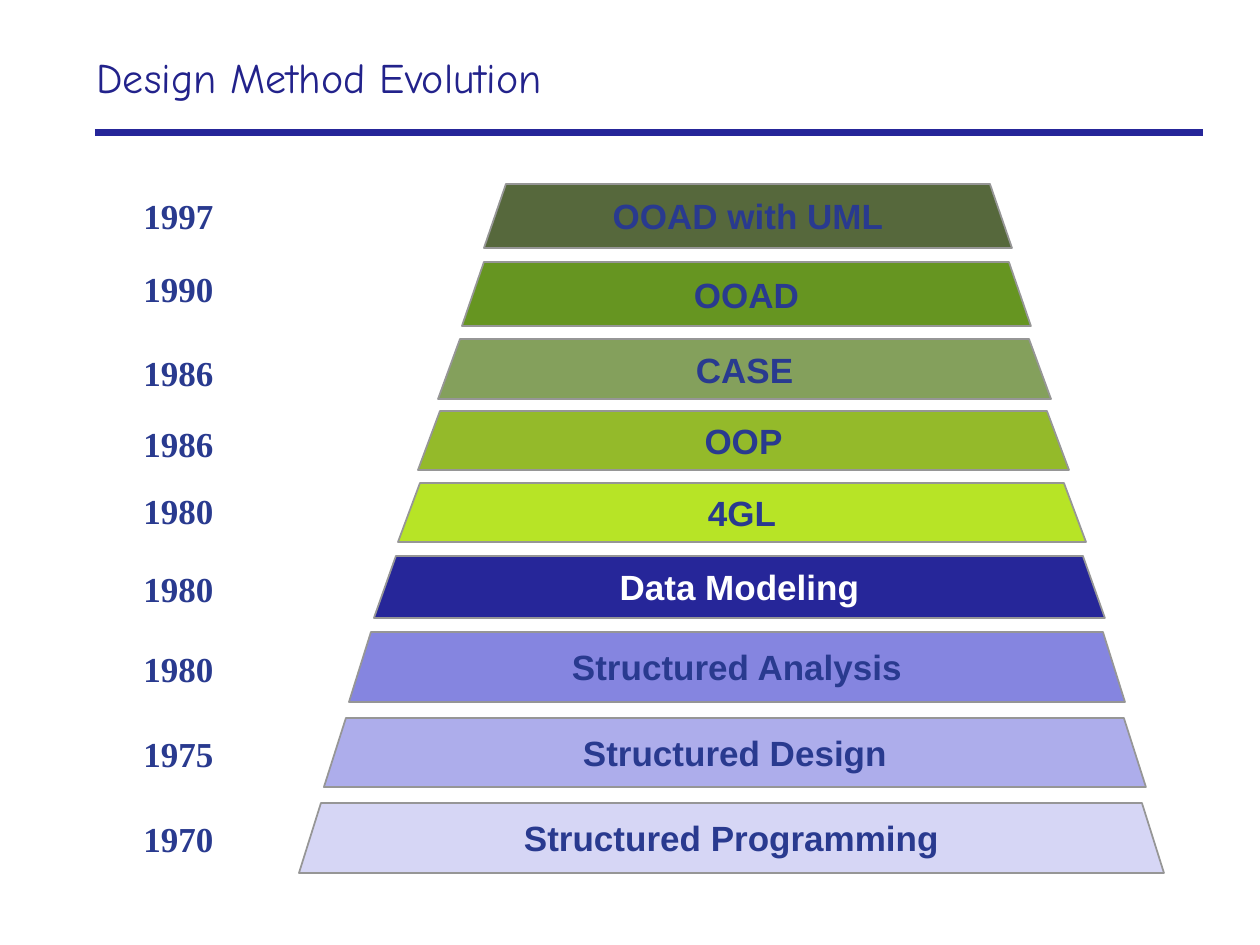
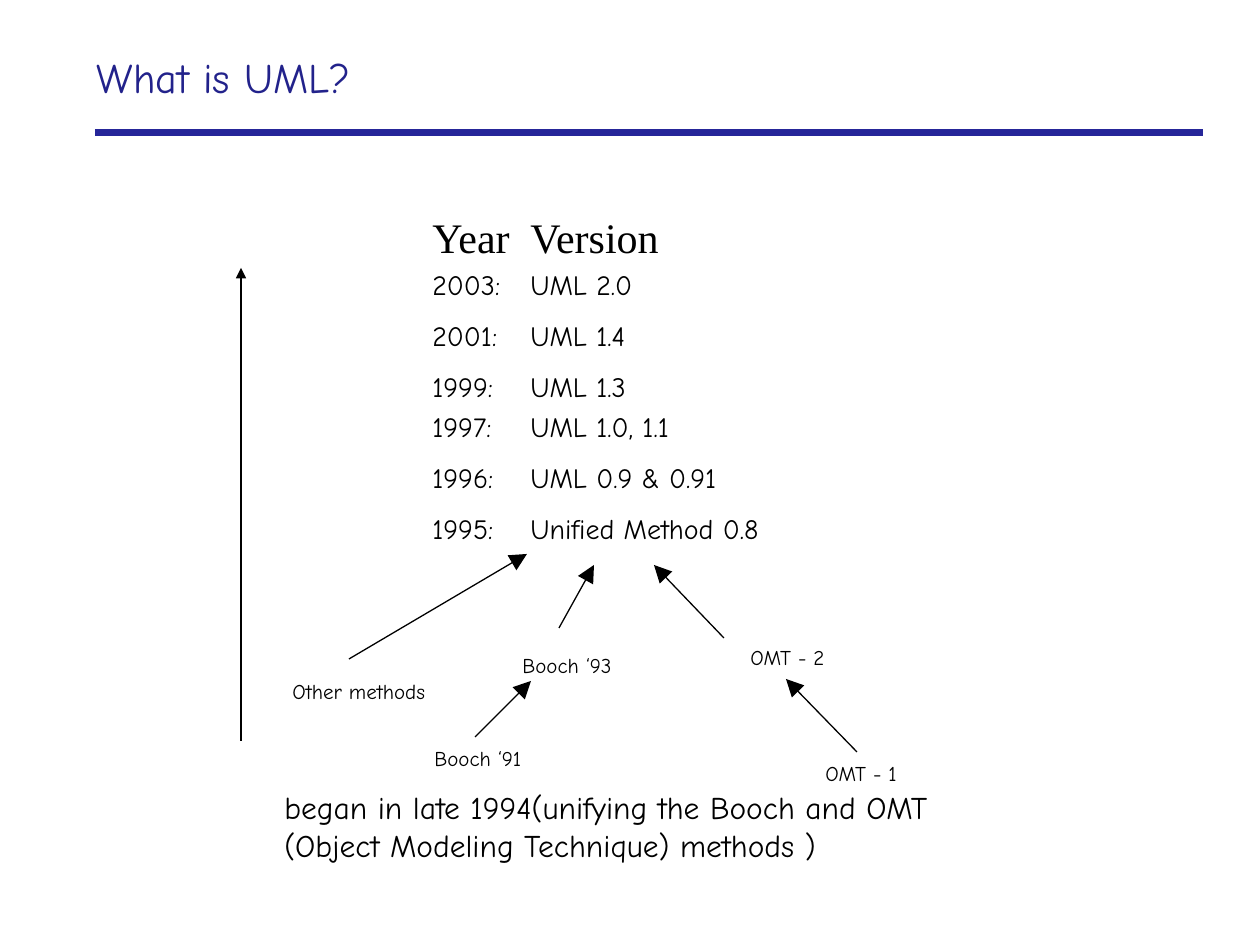
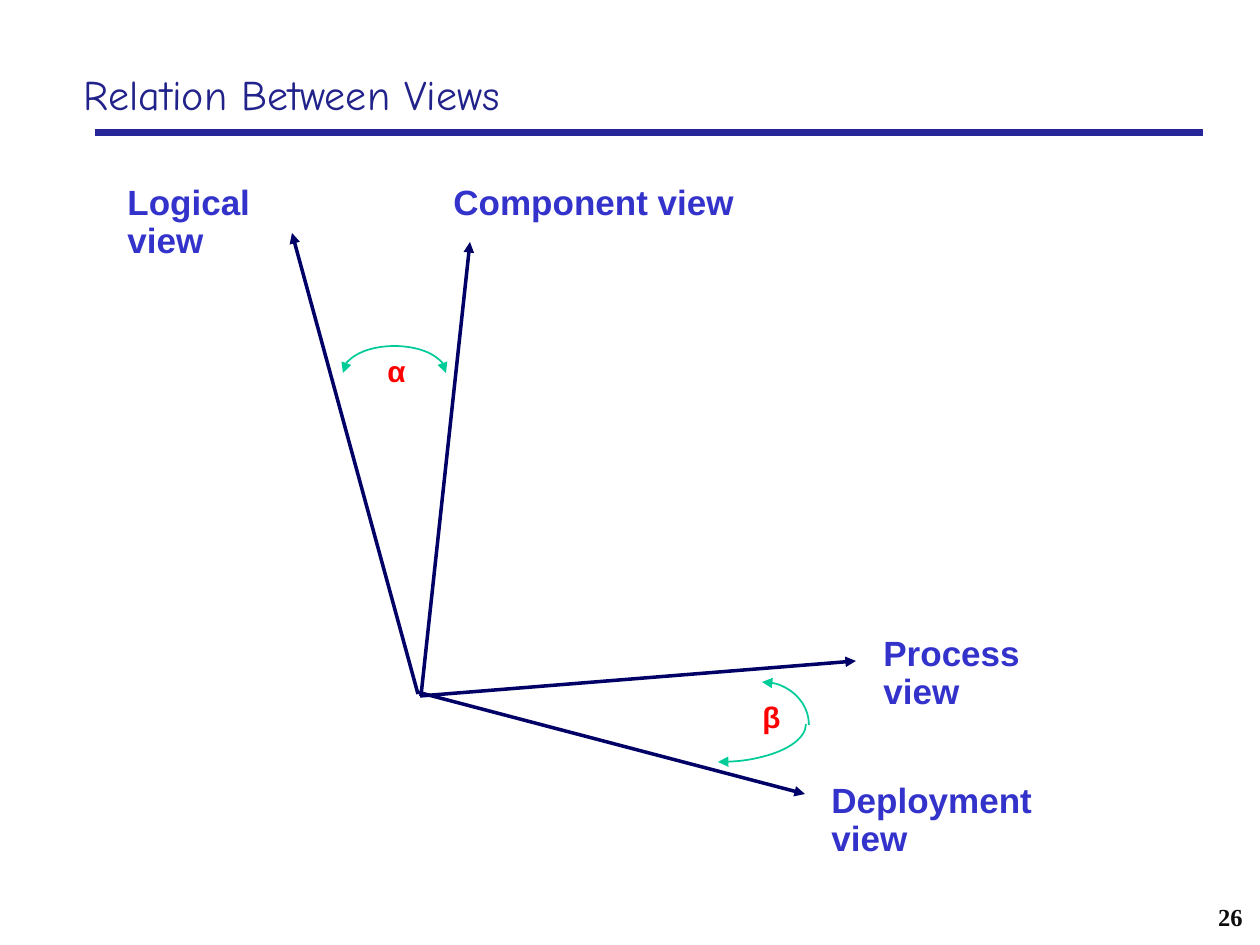
from dataclasses import dataclass

from pptx import Presentation
from pptx import util as u
from pptx.dml.color import RGBColor
from pptx.enum import shapes, text
from pptx.oxml import ns
from lxml import etree

EMU_PER_PX = 914400 / 126


@dataclass(frozen=True)
class Theme:
    hand: str = "Comic Neue"
    sans: str = "Arial"
    serif: str = "Times New Roman"
    title: str = "22228B"
    rule: str = "262699"
    navy: str = "293A8F"
    outline: str = "969696"
    view: str = "3333CC"
    axis: str = "000066"
    arc: str = "00CC99"
    angle: str = "FF0000"
    page: str = "0D0D0D"
    black: str = "000000"
    white: str = "FFFFFF"
    heading_size: int = 24
    label_size: int = 20
    body_size: int = 18
    angle_size: int = 17
    version_size: int = 16
    page_size: int = 14
    method_size: int = 12


THEME = Theme()

METHODS = [
    ("1997", 188, "OOAD with UML", 184, 248, 484, 1012, "56683C"),
    ("1990", 261, "OOAD", 262, 326, 462, 1031, "669521"),
    ("1986", 345, "CASE", 339, 399, 438, 1051, "84A05C"),
    ("1986", 416, "OOP", 411, 470, 418, 1069, "94BA2A"),
    ("1980", 483, "4GL", 483, 542, 398, 1086, "B7E426"),
    ("1980", 561, "Data Modeling", 556, 618, 374, 1105, "262699"),
    ("1980", 641, "Structured Analysis", 632, 702, 349, 1125, "8585E0"),
    ("1975", 726, "Structured Design", 718, 787, 324, 1146, "ADADEB"),
    ("1970", 811, "Structured Programming", 803, 873, 299, 1164, "D6D6F5"),
]


def px(length):
    return u.Emu(round(length * EMU_PER_PX))


def rgb(value):
    return RGBColor.from_string(value)


def style(paragraph, font, size, color, bold=False, align=text.PP_ALIGN.LEFT):
    paragraph.alignment = align
    paragraph.font.name = font
    paragraph.font.size = u.Pt(size)
    paragraph.font.bold = bold
    paragraph.font.color.rgb = rgb(color)


def add_text(slide, box, lines, font, size, color, bold=False, wrap=False,
             align=text.PP_ALIGN.LEFT, before=0, spacing=1.0, tab=None):
    frame = slide.shapes.add_textbox(*map(px, box)).text_frame
    frame.word_wrap = wrap
    for index, line in enumerate(lines):
        paragraph = frame.paragraphs[0] if index == 0 else frame.add_paragraph()
        paragraph.text = line
        paragraph.line_spacing = spacing
        paragraph.space_before = u.Pt(before if index else 0)
        if tab:
            properties = paragraph._p.get_or_add_pPr()
            stops = etree.SubElement(properties, ns.qn("a:tabLst"))
            etree.SubElement(stops, ns.qn("a:tab"), pos=str(px(tab)), algn="l")
        style(paragraph, font, size, color, bold, align)
    return frame


def set_line(shape, color, width, head=False, tail=False, arrow="med"):
    shape.line.color.rgb = rgb(color)
    shape.line.width = u.Pt(width)
    line = shape.element.spPr.find(ns.qn("a:ln"))
    for tag, wanted in (("a:headEnd", head), ("a:tailEnd", tail)):
        if wanted:
            etree.SubElement(line, ns.qn(tag), type="triangle", w=arrow, len=arrow)


def add_line(slide, start, end, color, width, tail=True, arrow="med"):
    connector = slide.shapes.add_connector(
        shapes.MSO_CONNECTOR.STRAIGHT, *map(px, (*start, *end)))
    set_line(connector, color, width, tail=tail, arrow=arrow)
    etree.SubElement(connector.element.spPr, ns.qn("a:effectLst"))


def add_arc(slide, box, start_angle, end_angle, head, tail):
    arc = slide.shapes.add_shape(shapes.MSO_SHAPE.ARC, *map(px, box))
    arc.adjustments[0] = start_angle * 0.6
    arc.adjustments[1] = end_angle * 0.6
    arc.shadow.inherit = False
    arc.fill.background()
    set_line(arc, THEME.arc, 1, head, tail)


def add_tier(slide, name, top, bottom, left, right, fill, slant=22):
    builder = slide.shapes.build_freeform(left, bottom, scale=EMU_PER_PX)
    builder.add_line_segments(
        [(left + slant, top), (right - slant, top), (right, bottom)], close=True)
    tier = builder.convert_to_shape()
    tier.shadow.inherit = False
    tier.fill.solid()
    tier.fill.fore_color.rgb = rgb(fill)
    set_line(tier, THEME.outline, 1)
    frame = tier.text_frame
    frame.text = name
    frame.word_wrap = True
    frame.vertical_anchor = text.MSO_ANCHOR.MIDDLE
    color = THEME.white if fill == THEME.rule else THEME.navy
    style(frame.paragraphs[0], THEME.sans, THEME.label_size, color, True,
          text.PP_ALIGN.CENTER)


def add_titled_slide(presentation, title):
    slide = presentation.slides.add_slide(presentation.slide_layouts[5])
    shape = slide.shapes.title
    shape.left, shape.top, shape.width, shape.height = map(px, (84, 35, 1042, 84))
    frame = shape.text_frame
    frame.text = title
    frame.auto_size = text.MSO_AUTO_SIZE.NONE
    frame.vertical_anchor = text.MSO_ANCHOR.MIDDLE
    style(frame.paragraphs[0], THEME.hand, THEME.heading_size, THEME.title)
    add_line(slide, (95, 133), (1203, 133), THEME.rule, 4, tail=False)
    return slide


def build_evolution(presentation):
    slide = add_titled_slide(presentation, "Design Method Evolution")
    for year, year_top, *tier in METHODS:
        add_tier(slide, *tier)
        add_text(slide, (131, year_top, 95, 55), [year], THEME.serif,
                 THEME.label_size, THEME.navy, bold=True)


def build_history(presentation):
    slide = add_titled_slide(presentation, "What is UML?")
    version_tab = 98
    add_text(slide, (420, 205, 325, 63), ["Year\tVersion"], THEME.serif,
             THEME.heading_size, THEME.black, wrap=True, tab=version_tab)
    versions = [
        (261, ["2003:\tUML 2.0", "2001:\tUML 1.4", "1999:\tUML 1.3"]),
        (403, ["1997:\tUML 1.0, 1.1", "1996:\tUML 0.9 & 0.91",
               "1995:\tUnified Method 0.8"]),
    ]
    for top, lines in versions:
        add_text(slide, (420, top, 580, 149), lines, THEME.hand,
                 THEME.version_size, THEME.black, wrap=True, before=10,
                 tab=version_tab)

    methods = [
        ("Other methods", 280, 672, 158),
        ("Booch ‘91", 422, 739, 115),
        ("Booch ‘93", 510, 646, 115),
        ("OMT - 2", 738, 638, 101),
        ("OMT - 1", 813, 754, 98),
    ]
    for name, left, top, width in methods:
        add_text(slide, (left, top, width, 38), [name], THEME.hand,
                 THEME.method_size, THEME.black)

    contributions = [
        ((349, 659), (527, 554)),
        ((475, 737), (531, 681)),
        ((559, 628), (594, 565)),
        ((857, 752), (786, 679)),
        ((724, 638), (654, 565)),
    ]
    for start, end in contributions:
        add_line(slide, start, end, THEME.black, 0.75, arrow="lg")
    add_line(slide, (241, 741), (241, 268), THEME.black, 0.75)
    add_text(slide, (272, 782, 703, 88),
             ["began in late 1994(unifying the Booch and OMT "
              "(Object Modeling Technique) methods )"],
             THEME.hand, THEME.body_size, THEME.black, wrap=True)


def build_views(presentation):
    slide = add_titled_slide(presentation, "Relation Between Views")
    frame = slide.shapes.title.text_frame
    frame.vertical_anchor = text.MSO_ANCHOR.BOTTOM
    frame.margin_left = frame.margin_right = 0
    frame.margin_top = frame.margin_bottom = 0

    views = [
        ("Logical view", (115, 179, 233, 50), (418, 694), (292, 233)),
        ("Component view", (441, 179, 306, 50), (421, 696), (470, 242)),
        ("Process view", (871, 630, 247, 50), (420, 696), (856, 661)),
        ("Deployment view", (819, 777, 311, 50), (417, 692), (805, 794)),
    ]
    for name, box, start, end in views:
        add_line(slide, start, end, THEME.axis, 2)
        add_text(slide, box, [name], THEME.sans, THEME.label_size, THEME.view,
                 bold=True, spacing=0.9)

    add_arc(slide, (343, 346, 103, 54), 180, 0, head=True, tail=True)
    add_arc(slide, (715, 682, 94, 86), 270, 0, head=True, tail=False)
    add_arc(slide, (630, 686, 176, 76), 0, 90, head=False, tail=True)
    for name, box in (("α", (375, 347, 43, 47)), ("β", (750, 693, 41, 47))):
        add_text(slide, box, [name], THEME.sans, THEME.angle_size, THEME.angle,
                 bold=True)

    number = add_text(slide, (1076, 896, 179, 42), ["26"], THEME.serif,
                      THEME.page_size, THEME.page, bold=True, wrap=True,
                      align=text.PP_ALIGN.RIGHT)
    number.vertical_anchor = text.MSO_ANCHOR.MIDDLE


def main():
    presentation = Presentation()
    presentation.slide_width, presentation.slide_height = px(1260), px(945)
    build_evolution(presentation)
    build_history(presentation)
    build_views(presentation)
    presentation.save("out.pptx")


if __name__ == "__main__":
    main()
